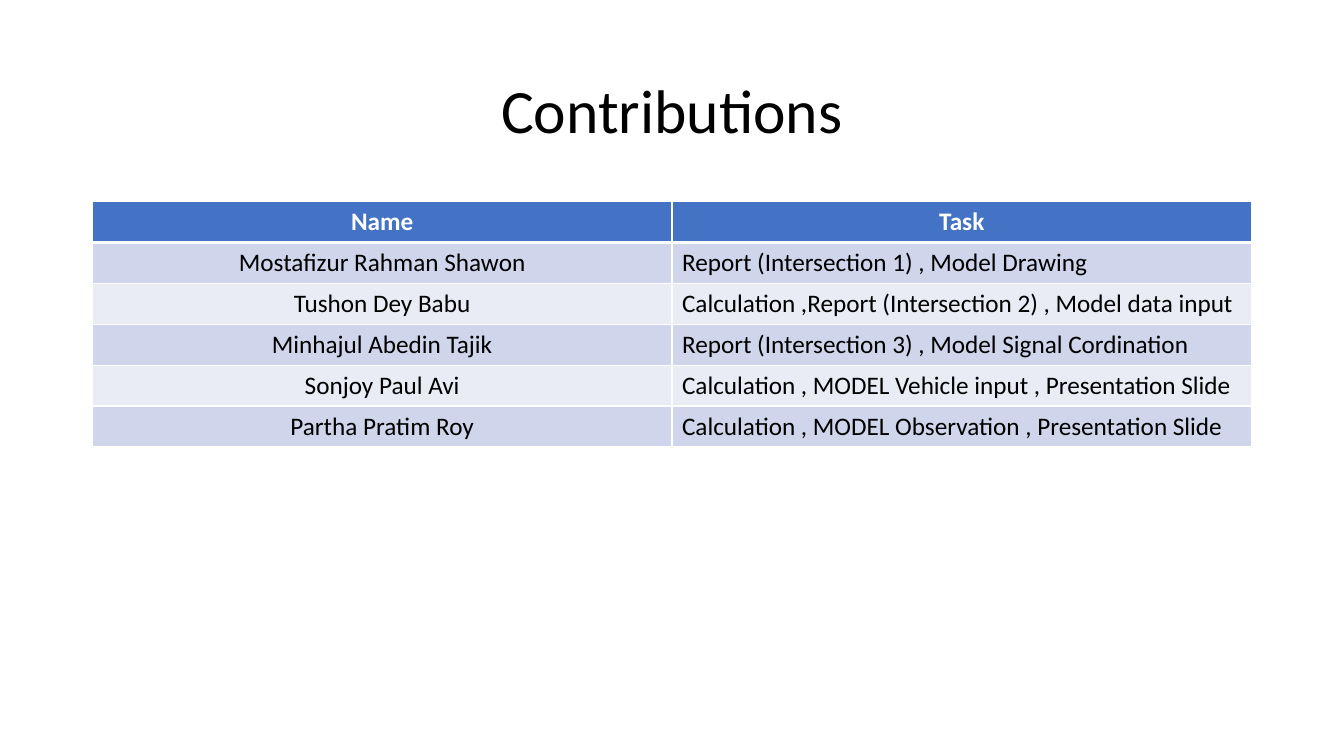
from dataclasses import dataclass

from lxml.etree import SubElement
from pptx import Presentation
from pptx.dml.color import RGBColor
from pptx.enum.text import MSO_ANCHOR, PP_ALIGN
from pptx.oxml.ns import qn
from pptx.util import Pt

TITLE = "Contributions"
HEADER = ("Name", "Task")
CONTRIBUTIONS = [
    ("Mostafizur Rahman Shawon", "Report (Intersection 1) , Model Drawing"),
    ("Tushon Dey Babu", "Calculation ,Report (Intersection 2) , Model data input"),
    ("Minhajul Abedin Tajik", "Report (Intersection 3) , Model Signal Cordination"),
    ("Sonjoy Paul Avi", "Calculation , MODEL Vehicle input , Presentation Slide"),
    ("Partha Pratim Roy", "Calculation , MODEL Observation , Presentation Slide"),
]


@dataclass(frozen=True)
class Theme:
    font: str = "Calibri"
    title_size: int = 44
    cell_size: int = 18
    text: str = "000000"
    header_text: str = "FFFFFF"
    header_fill: str = "4472C4"
    bands: tuple = ("CFD5EA", "E9EBF5")
    border: str = "FFFFFF"
    thin: int = 1
    thick: int = 3


THEME = Theme()
SLIDE_W, SLIDE_H = 960, 540
LEFT, WIDTH = 66, 828
TITLE_TOP, TITLE_H = 28.75, 104.4
TABLE_TOP, ROW_H = 144, 29.2


def style_paragraph(p, size, color, align, bold=False):
    p.alignment = align
    p.font.name = THEME.font
    p.font.size = Pt(size)
    p.font.bold = bold
    p.font.color.rgb = RGBColor.from_string(color)


def set_borders(cell, top, bottom):
    """Draw the four cell edges; call before the fill, which must follow them in the XML."""
    tc_pr = cell._tc.get_or_add_tcPr()
    widths = {"lnL": THEME.thin, "lnR": THEME.thin, "lnT": top, "lnB": bottom}
    for side, width in widths.items():
        ln = SubElement(tc_pr, qn(f"a:{side}"), w=str(Pt(width)))
        fill = SubElement(ln, qn("a:solidFill"))
        SubElement(fill, qn("a:srgbClr"), val=THEME.border)


def add_title(slide):
    sp = slide.shapes.title
    sp.left, sp.top, sp.width, sp.height = map(Pt, (LEFT, TITLE_TOP, WIDTH, TITLE_H))
    tf = sp.text_frame
    tf.text = TITLE
    tf.vertical_anchor = MSO_ANCHOR.MIDDLE
    p = tf.paragraphs[0]
    p.line_spacing = 0.9
    style_paragraph(p, THEME.title_size, THEME.text, PP_ALIGN.CENTER)


def add_contributions(slide):
    rows = [HEADER, *CONTRIBUTIONS]
    table = slide.shapes.add_table(
        len(rows), len(HEADER), Pt(LEFT), Pt(TABLE_TOP), Pt(WIDTH), Pt(ROW_H * len(rows))
    ).table
    for i, row in enumerate(rows):
        is_header = i == 0
        fill = THEME.header_fill if is_header else THEME.bands[(i - 1) % 2]
        color = THEME.header_text if is_header else THEME.text
        top = THEME.thick if i == 1 else THEME.thin
        bottom = THEME.thick if is_header else THEME.thin
        for j, text in enumerate(row):
            cell = table.cell(i, j)
            cell.text = text
            set_borders(cell, top, bottom)
            cell.fill.solid()
            cell.fill.fore_color.rgb = RGBColor.from_string(fill)
            align = PP_ALIGN.CENTER if is_header or j == 0 else PP_ALIGN.LEFT
            style_paragraph(cell.text_frame.paragraphs[0], THEME.cell_size, color, align, is_header)


def main():
    prs = Presentation()
    prs.slide_width, prs.slide_height = Pt(SLIDE_W), Pt(SLIDE_H)
    slide = prs.slides.add_slide(prs.slide_layouts[5])
    add_title(slide)
    add_contributions(slide)
    prs.save("out.pptx")


if __name__ == "__main__":
    main()
